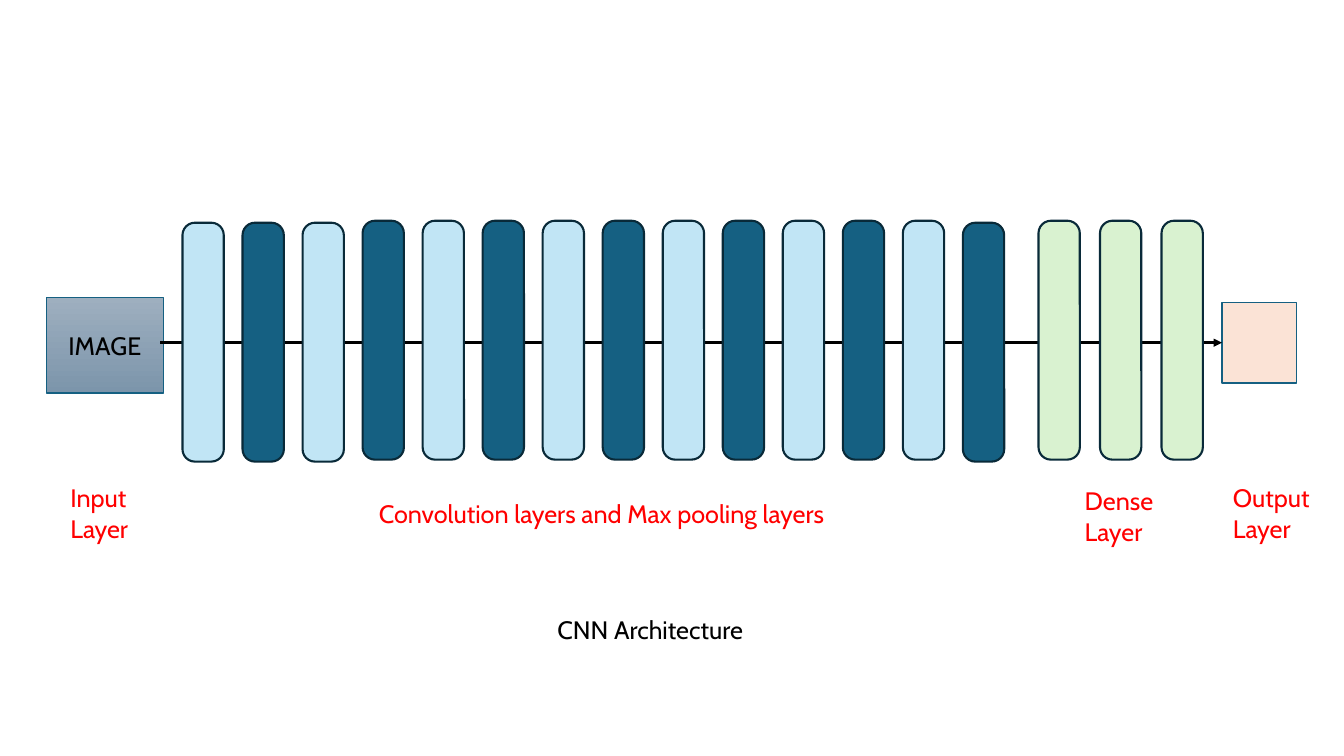
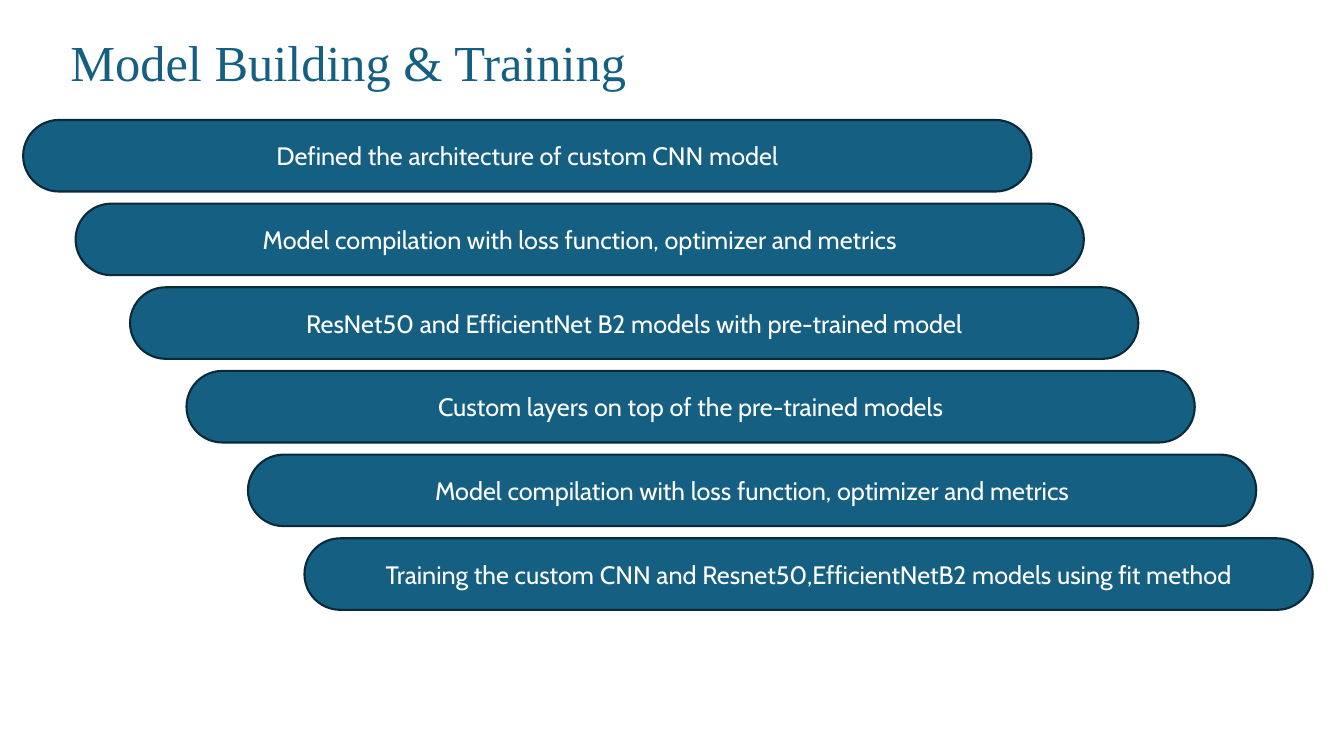
from lxml import etree
from pptx import Presentation
from pptx.dml.color import RGBColor
from pptx.enum.shapes import MSO_CONNECTOR, MSO_SHAPE
from pptx.enum.text import MSO_ANCHOR, PP_ALIGN
from pptx.oxml.ns import qn
from pptx.util import Inches, Pt

RECT, ROUNDED = MSO_SHAPE.RECTANGLE, MSO_SHAPE.ROUNDED_RECTANGLE
STRAIGHT = MSO_CONNECTOR.STRAIGHT
TOP, MIDDLE = MSO_ANCHOR.TOP, MSO_ANCHOR.MIDDLE
LEFT, CENTER = PP_ALIGN.LEFT, PP_ALIGN.CENTER

BODY_FONT, TITLE_FONT = "Cabin", "Times New Roman"
TEAL, NAVY, SKY = "156082", "092A39", "C1E5F5"
MINT, PEACH, RED = "D9F2D0", "FBE3D6", "FF0000"
WHITE, BLACK = "FFFFFF", "000000"
IMAGE_GRADIENT = ("9EAFBF", "7C95AB")

INPUT_BOX = (0.46, 2.95, 1.16, 0.95)
OUTPUT_BOX = (12.12, 3, 0.74, 0.8)
FLOW_START, FLOW_END, FLOW_Y = 1.59, 12.12, 3.4
LAYER_WIDTH, LAYER_HEIGHT = 0.41, 2.37
LAYER_TOP, LOWERED_TOP = 2.19, 2.21
CONV_COUNT, CONV_FIRST, CONV_LAST = 14, 1.81, 9.55
LOWERED_CONV = {0, 1, 2, 13}
DENSE_COUNT, DENSE_FIRST, DENSE_LAST = 3, 10.3, 11.52
CAPTIONS = [
    (("Input", "Layer"), (0.6, 4.74, 0.87, 0.71), RED),
    (("Convolution layers and Max pooling layers",), (3.66, 4.89, 6.65, 0.4), RED),
    (("Dense", "Layer"), (10.66, 4.77, 1.28, 0.71), RED),
    (("Output", "Layer"), (12.13, 4.74, 0.99, 0.71), RED),
    (("CNN Architecture",), (5.43, 6.05, 5.12, 0.4), BLACK),
]

TRAINING_TITLE = "Model Building & Training"
TITLE_BOX = (0.6, 0.26, 6.25, 0.71)
STEPS = [
    (0.23, "Defined the architecture of custom CNN model"),
    (0.75, "Model compilation with loss function, optimizer and metrics"),
    (1.29, "ResNet50 and EfficientNet B2 models with pre-trained model"),
    (1.85, "Custom layers on top of the pre-trained models"),
    (2.46, "Model compilation with loss function, optimizer and metrics"),
    (3.02, "Training the custom CNN and Resnet50,EfficientNetB2 models using fit method"),
]
STEP_TOP, STEP_PITCH, STEP_WIDTH, STEP_HEIGHT = 1.19, 0.83, 10, 0.71


def rgb(value):
    return RGBColor.from_string(value)


def place(box):
    return [Inches(length) for length in box]


def write(shape, lines, color, size=18, font=BODY_FONT, align=LEFT, anchor=TOP):
    frame = shape.text_frame
    frame.word_wrap = True
    frame.vertical_anchor = anchor
    for index, line in enumerate(lines):
        paragraph = frame.add_paragraph() if index else frame.paragraphs[0]
        paragraph.alignment = align
        run = paragraph.add_run()
        run.text = line
        run.font.size = Pt(size)
        run.font.name = font
        run.font.color.rgb = rgb(color)


def add_block(shapes, kind, box, fill, outline=None, weight=1, radius=None):
    block = shapes.add_shape(kind, *place(box))
    block.shadow.inherit = False
    if radius is not None:
        block.adjustments[0] = radius
    block.fill.solid()
    block.fill.fore_color.rgb = rgb(fill)
    if outline:
        block.line.color.rgb = rgb(outline)
        block.line.width = Pt(weight)
    else:
        block.line.fill.background()
    return block


def add_flow_arrow(shapes):
    arrow = shapes.add_connector(
        STRAIGHT, *place((FLOW_START, FLOW_Y, FLOW_END, FLOW_Y)))
    arrow.line.color.rgb = rgb(BLACK)
    arrow.line.width = Pt(2)
    properties = arrow.element.spPr
    outline = properties.find(qn("a:ln"))
    etree.SubElement(outline, qn("a:tailEnd"), type="triangle")
    etree.SubElement(properties, qn("a:effectLst"))


def add_layers(shapes, count, first, last, fills, lowered=()):
    group = shapes.add_group_shape()
    pitch = (last - first) / (count - 1)
    for index in range(count):
        top = LOWERED_TOP if index in lowered else LAYER_TOP
        box = (first + index * pitch, top, LAYER_WIDTH, LAYER_HEIGHT)
        add_block(group.shapes, ROUNDED, box, fills[index % len(fills)],
                  NAVY, 1.5, 0.3)


def build_architecture(shapes):
    image = add_block(shapes, RECT, INPUT_BOX, IMAGE_GRADIENT[0], TEAL)
    image.fill.gradient()
    image.fill.gradient_angle = 270
    for stop, color in zip(image.fill.gradient_stops, IMAGE_GRADIENT):
        stop.color.rgb = rgb(color)
    write(image, ["IMAGE"], BLACK, align=CENTER, anchor=MIDDLE)
    add_block(shapes, RECT, OUTPUT_BOX, PEACH, TEAL)
    add_flow_arrow(shapes)
    add_layers(shapes, CONV_COUNT, CONV_FIRST, CONV_LAST, (SKY, TEAL), LOWERED_CONV)
    add_layers(shapes, DENSE_COUNT, DENSE_FIRST, DENSE_LAST, (MINT,))
    for lines, box, color in CAPTIONS:
        write(shapes.add_textbox(*place(box)), lines, color)


def build_training(shapes):
    title = add_block(shapes, RECT, TITLE_BOX, WHITE)
    write(title, [TRAINING_TITLE], TEAL, 36, TITLE_FONT)
    for index, (left, label) in enumerate(STEPS):
        box = (left, STEP_TOP + index * STEP_PITCH, STEP_WIDTH, STEP_HEIGHT)
        step = add_block(shapes, ROUNDED, box, TEAL, NAVY, 1.5, 0.5)
        write(step, [label], WHITE, align=CENTER, anchor=MIDDLE)


def main():
    deck = Presentation()
    deck.slide_width, deck.slide_height = Inches(13.33), Inches(7.5)
    blank = deck.slide_layouts[6]
    for build in (build_architecture, build_training):
        build(deck.slides.add_slide(blank).shapes)
    deck.save("out.pptx")


if __name__ == "__main__":
    main()
